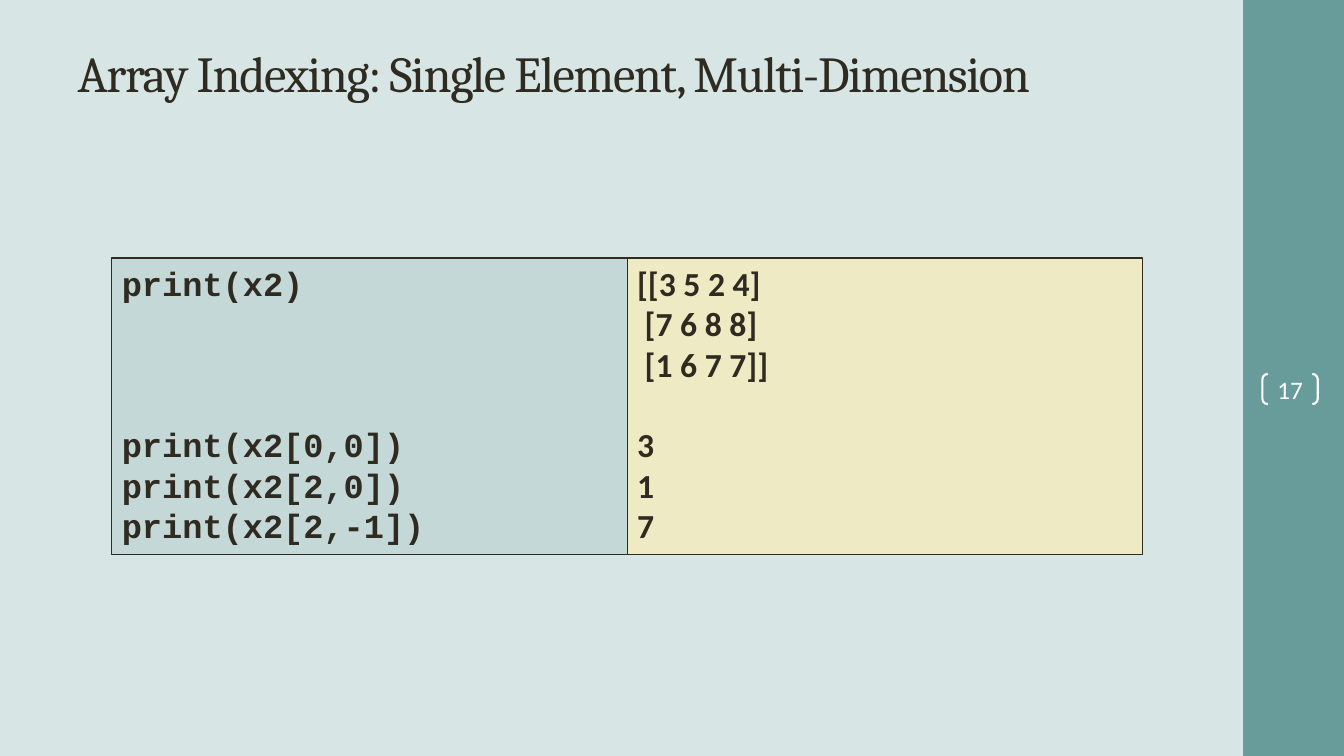
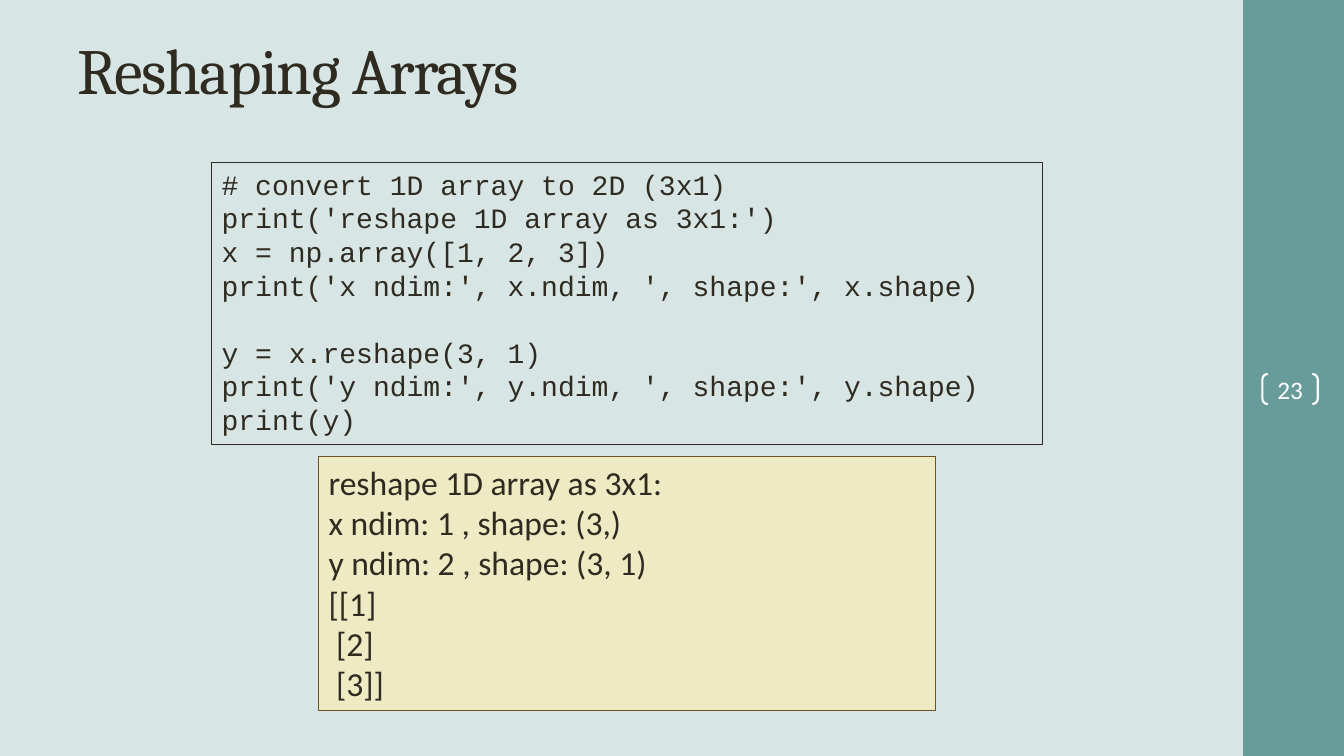
from dataclasses import dataclass

from pptx import Presentation
from pptx.dml.color import RGBColor
from pptx.enum.shapes import MSO_SHAPE
from pptx.enum.text import MSO_ANCHOR, MSO_AUTO_SIZE, PP_ALIGN
from pptx.slide import Slide
from pptx.util import Inches, Pt

BACKGROUND = RGBColor(0xD7, 0xE5, 0xE5)
TEAL = RGBColor(0x68, 0x9C, 0x9A)
PALE_TEAL = RGBColor(0xC4, 0xD8, 0xD7)
CREAM = RGBColor(0xED, 0xEA, 0xC4)
INK = RGBColor(0x2F, 0x2B, 0x20)
BROWN = RGBColor(0x6D, 0x52, 0x25)
WHITE = RGBColor(0xFF, 0xFF, 0xFF)

TITLE_FONT = "Cambria"
BODY_FONT = "Calibri"
CODE_FONT = "Courier New"
LINE_HEIGHT = 1.2
TITLE_ONLY_LAYOUT = 5


@dataclass(frozen=True)
class Panel:
    """A bordered box of code or output; an empty line is a one-line gap."""

    left: float
    top: float
    width: float
    height: float
    lines: tuple[str, ...]
    font: str = BODY_FONT
    size: int = 24
    bold: bool = False
    fill: RGBColor | None = None
    border: RGBColor = INK


@dataclass(frozen=True)
class Page:
    title: str
    title_size: int
    title_top: float
    title_height: float
    number: int
    panels: tuple[Panel, ...]


PANEL_LEFT, PANEL_TOP, PANEL_WIDTH, PANEL_HEIGHT = 1.11, 2.56, 5.11, 2.94

PAGES = (
    Page(
        "Array Indexing: Single Element, Multi-Dimension", 36, 0.24, 0.96, 17,
        (
            Panel(
                PANEL_LEFT, PANEL_TOP, PANEL_WIDTH, PANEL_HEIGHT,
                ("print(x2)", "", "", "",
                 "print(x2[0,0])", "print(x2[2,0])", "print(x2[2,-1])"),
                font=CODE_FONT, bold=True, fill=PALE_TEAL,
            ),
            Panel(
                PANEL_LEFT + PANEL_WIDTH, PANEL_TOP, PANEL_WIDTH, PANEL_HEIGHT,
                ("[[3 5 2 4]", " [7 6 8 8]", " [1 6 7 7]]", "", "3", "1", "7"),
                bold=True, fill=CREAM,
            ),
        ),
    ),
    Page(
        "Reshaping Arrays", 46, 0.17, 1.02, 23,
        (
            Panel(
                3.16, 4.53, 6.12, 2.52,
                ("reshape 1D array as 3x1:", "x ndim: 1 , shape: (3,)",
                 "y ndim: 2 , shape: (3, 1)", "[[1]", " [2]", " [3]]"),
                fill=CREAM, border=BROWN,
            ),
            Panel(
                2.1, 1.61, 8.24, 2.8,
                ("# convert 1D array to 2D (3x1)",
                 "print('reshape 1D array as 3x1:')",
                 "x = np.array([1, 2, 3])",
                 "print('x ndim:', x.ndim, ', shape:', x.shape)",
                 "",
                 "y = x.reshape(3, 1)",
                 "print('y ndim:', y.ndim, ', shape:', y.shape)",
                 "print(y)"),
                font=CODE_FONT, size=20,
            ),
        ),
    ),
)


def add_side_band(slide: Slide) -> None:
    band = slide.shapes.add_shape(
        MSO_SHAPE.RECTANGLE, Inches(12.33), 0, Inches(1), Inches(7.5)
    )
    band.shadow.inherit = False
    band.fill.solid()
    band.fill.fore_color.rgb = TEAL
    band.line.fill.background()


def set_title(slide: Slide, page: Page) -> None:
    title = slide.shapes.title
    title.left, title.top = Inches(0.67), Inches(page.title_top)
    title.width, title.height = Inches(11.11), Inches(page.title_height)
    text_frame = title.text_frame
    text_frame.text = page.title
    text_frame.word_wrap = True
    text_frame.auto_size = MSO_AUTO_SIZE.NONE
    text_frame.vertical_anchor = MSO_ANCHOR.MIDDLE
    paragraph = text_frame.paragraphs[0]
    paragraph.alignment = PP_ALIGN.LEFT
    run = paragraph.runs[0]
    run.font.name = TITLE_FONT
    run.font.size = Pt(page.title_size)
    run.font.color.rgb = INK
    run._r.get_or_add_rPr().set("spc", "-100")


def add_page_number(slide: Slide, number: int) -> None:
    brackets = slide.shapes.add_shape(
        MSO_SHAPE.DOUBLE_BRACKET,
        Inches(12.52), Inches(3.71), Inches(0.55), Inches(0.3),
    )
    brackets.adjustments[0] = 0.18
    brackets.shadow.inherit = False
    brackets.fill.background()
    brackets.line.color.rgb = WHITE
    brackets.line.width = Pt(1.5)
    text_frame = brackets.text_frame
    text_frame.margin_left = text_frame.margin_right = 0
    text_frame.margin_top = text_frame.margin_bottom = 0
    text_frame.vertical_anchor = MSO_ANCHOR.MIDDLE
    text_frame.word_wrap = False
    text_frame.text = str(number)
    paragraph = text_frame.paragraphs[0]
    paragraph.alignment = PP_ALIGN.CENTER
    font = paragraph.runs[0].font
    font.name, font.size = BODY_FONT, Pt(18)
    font.color.rgb = WHITE


def add_panel(slide: Slide, panel: Panel) -> None:
    shape = slide.shapes.add_shape(
        MSO_SHAPE.RECTANGLE, Inches(panel.left), Inches(panel.top),
        Inches(panel.width), Inches(panel.height),
    )
    shape.shadow.inherit = False
    if panel.fill is None:
        shape.fill.background()
    else:
        shape.fill.solid()
        shape.fill.fore_color.rgb = panel.fill
    shape.line.color.rgb = panel.border
    shape.line.width = Pt(0.75)

    text_frame = shape.text_frame
    text_frame.word_wrap = True
    text_frame.vertical_anchor = MSO_ANCHOR.TOP
    line_height = panel.size * LINE_HEIGHT
    paragraph = text_frame.paragraphs[0]
    gap = 0
    for index, line in enumerate(panel.lines):
        if not line:
            gap += 1
            continue
        if index:
            paragraph = text_frame.add_paragraph()
        paragraph.text = line
        paragraph.alignment = PP_ALIGN.LEFT
        paragraph.line_spacing = Pt(line_height)
        if gap:
            paragraph.space_before = Pt(gap * line_height)
        gap = 0
        font = paragraph.runs[0].font
        font.name, font.size, font.bold = panel.font, Pt(panel.size), panel.bold
        font.color.rgb = INK


def main() -> None:
    presentation = Presentation()
    presentation.slide_width = Inches(13.33)
    presentation.slide_height = Inches(7.5)
    background = presentation.slide_master.background.fill
    background.solid()
    background.fore_color.rgb = BACKGROUND
    layout = presentation.slide_layouts[TITLE_ONLY_LAYOUT]

    for page in PAGES:
        slide = presentation.slides.add_slide(layout)
        add_side_band(slide)
        set_title(slide, page)
        add_page_number(slide, page.number)
        for panel in page.panels:
            add_panel(slide, panel)

    presentation.save("out.pptx")


if __name__ == "__main__":
    main()
